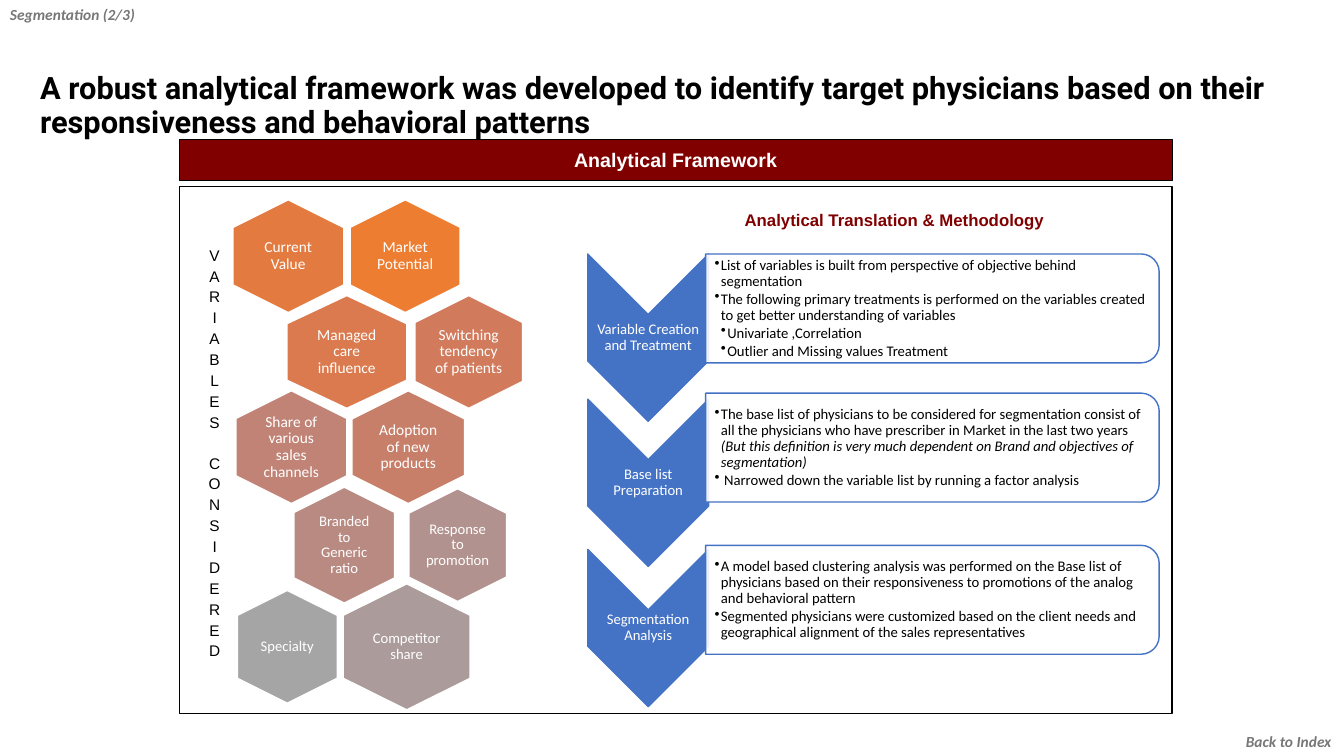
from lxml import etree
from pptx import Presentation
from pptx.dml.color import RGBColor
from pptx.enum.shapes import MSO_SHAPE
from pptx.enum.text import MSO_ANCHOR, PP_ALIGN
from pptx.oxml.ns import qn
from pptx.util import Pt

RECT, HEXAGON = MSO_SHAPE.RECTANGLE, MSO_SHAPE.HEXAGON
CHEVRON, CARD = MSO_SHAPE.CHEVRON, MSO_SHAPE.ROUND_2_SAME_RECTANGLE
LEFT, CENTER = PP_ALIGN.LEFT, PP_ALIGN.CENTER
TOP, MIDDLE = MSO_ANCHOR.TOP, MSO_ANCHOR.MIDDLE

BLACK = RGBColor(0x00, 0x00, 0x00)
WHITE = RGBColor(0xFF, 0xFF, 0xFF)
MAROON = RGBColor(0x80, 0x00, 0x00)
BLUE = RGBColor(0x44, 0x72, 0xC4)
GRAY = RGBColor(0x77, 0x77, 0x77)

TITLE = {"name": "Roboto", "size": Pt(22), "bold": True, "color": BLACK}
BANNER = {"name": "Arial", "size": Pt(14), "bold": True, "color": WHITE}
HEADING = {"name": "Arial", "size": Pt(12), "bold": True, "color": MAROON}
LETTER = {"name": "Arial", "size": Pt(11), "color": BLACK}
LABEL = {"name": "Calibri", "size": Pt(11), "color": WHITE}
SMALL_LABEL = {**LABEL, "size": Pt(10.5)}
BODY = {**SMALL_LABEL, "color": BLACK}
TAG = {"name": "Calibri", "size": Pt(11), "bold": True, "italic": True, "color": GRAY}

# Row centre y, then per hexagon: text, centre x, height, width, colour
HEX_ROWS = [
    (50, LABEL, [("Market Potential", 161.4, 80.6, 78.5, "ED7D31"),
                 ("Current Value", 77.9, 80.6, 79.2, "E37A40")]),
    (118.4, LABEL, [("Managed care influence", 119.7, 80.6, 85.7, "DA7A4E"),
                    ("Switching tendency of patients", 206.8, 80.6, 77, "D17B5C")]),
    (186.4, LABEL, [("Adoption of new products", 163.6, 80.6, 80.6, "C87F69"),
                    ("Share of various sales channels", 80.1, 80.6, 79.2, "C08376")]),
    (256.4, SMALL_LABEL, [("Branded to Generic ratio", 117.9, 82.8, 72, "B98A82"),
                          ("Response to promotion", 198.9, 80.6, 69.8, "B2928E")]),
    (329, SMALL_LABEL, [("Competitor share", 162.5, 90, 90.7, "AB9B9A"),
                        ("Specialty", 77.2, 80.6, 71.3, "A5A5A5")]),
]

# Step name, chevron height, card centre y, bullets as (level, plain, italic)
STEPS = [
    ("Variable Creation and Treatment", 119.5, 87.3, [
        (1, "List of variables is built from perspective of objective behind segmentation", ""),
        (1, "The following primary treatments is performed on the variables created "
            "to get better understanding of variables", ""),
        (2, "Univariate ,Correlation", ""),
        (2, "Outlier and Missing values Treatment", "")]),
    ("Base list Preparation", 119.5, 186.7, [
        (1, "The base list of physicians to be considered for segmentation consist of all "
            "the physicians who have prescriber in Market in the last two years ",
            "(But this definition is very much dependent on Brand and objectives of segmentation)"),
        (1, " Narrowed down the variable list by running a factor analysis", "")]),
    ("Segmentation Analysis", 112.3, 295.4, [
        (1, "A model based clustering analysis was performed on the Base list of physicians "
            "based on their responsiveness to promotions of the analog and behavioral pattern", ""),
        (1, "Segmented physicians were customized based on the client needs and "
            "geographical alignment of the sales representatives", "")]),
]


def set_font(font, fmt):
    for key, value in fmt.items():
        if key == "color":
            font.color.rgb = value
        else:
            setattr(font, key, value)


def set_frame(tf, insets, anchor=MIDDLE, wrap=True):
    sides = ("margin_left", "margin_top", "margin_right", "margin_bottom")
    for side, inset in zip(sides, insets):
        setattr(tf, side, Pt(inset))
    tf.vertical_anchor = anchor
    tf.word_wrap = wrap


def add_text(p, text, fmt, align=CENTER, line_spacing=1.0):
    p.alignment = align
    p.line_spacing = line_spacing
    r = p.add_run()
    r.text = text
    set_font(r.font, fmt)


def text_box(s, x, y, w, h, insets=(7.2, 3.6, 7.2, 3.6), anchor=MIDDLE, wrap=True):
    tf = s.shapes.add_textbox(Pt(x), Pt(y), Pt(w), Pt(h)).text_frame
    set_frame(tf, insets, anchor, wrap)
    return tf


def add_box(s, kind, x, y, w, h, fill, line=None, weight=1):
    sp = s.shapes.add_shape(kind, Pt(x), Pt(y), Pt(w), Pt(h))
    sp.shadow.inherit = False
    sp.fill.solid()
    sp.fill.fore_color.rgb = fill
    if line is None:
        sp.line.fill.background()
    else:
        sp.line.color.rgb = line
        sp.line.width = Pt(weight)
    return sp


def add_turned(s, kind, cx, cy, w, h, fill, line):
    """Shape turned a quarter, showing w by h around its centre."""
    sp = add_box(s, kind, cx - h / 2, cy - w / 2, h, w, fill, line)
    sp.rotation = 90
    return sp


def centred_label(s, cx, cy, w, h, text, fmt, inset):
    tf = text_box(s, cx - w / 2, cy - h / 2, w, h, (inset,) * 4)
    add_text(tf.paragraphs[0], text, fmt, line_spacing=0.9)


def add_hexagons(s, left, top):
    for cy, fmt, row in HEX_ROWS:
        for i, (text, cx, h, w, color) in enumerate(row):
            x, y = left + cx, top + cy
            sp = add_turned(s, HEXAGON, x, y, w, h, RGBColor.from_string(color), WHITE)
            sp.adjustments[0] = 0.25
            centred_label(s, x, y, w * 0.67, 54, text, fmt, 0 if i else 3.6)


def add_bullets(tf, bullets):
    for i, (level, plain, italic) in enumerate(bullets):
        p = tf.add_paragraph() if i else tf.paragraphs[0]
        pPr = p._p.get_or_add_pPr()
        pPr.set("marL", str(Pt(4.5 * level)))
        pPr.set("indent", str(-Pt(4.5)))
        etree.SubElement(pPr, qn("a:buChar"), char="•")
        p.space_after = Pt(1.5)
        add_text(p, plain, BODY, LEFT, 0.9)
        if italic:
            add_text(p, italic, {**BODY, "italic": True}, LEFT, 0.9)


def add_steps(s, left, top):
    for i, (name, h, card_y, bullets) in enumerate(STEPS):
        # Chevron with its step name
        cx, cy = left + 335, top + 108.2 + 103.7 * i
        add_turned(s, CHEVRON, cx, cy, 86.4, h, BLUE, BLUE)
        centred_label(s, cx, cy, 86.4, 33, name, SMALL_LABEL, 0.7)
        # Card with its bullets
        x, y = left + 376, top + card_y
        card = add_turned(s, CARD, x + 162, y, 324, 77.8, WHITE, BLUE)
        clr = card.fill._xPr.find(qn("a:solidFill"))[0]
        etree.SubElement(clr, qn("a:alpha"), val="90000")
        add_bullets(text_box(s, x, y - 35, 319.7, 70, (6.5, 0.7, 0.7, 0.7)), bullets)


def add_side_letters(s, x, y):
    tf = text_box(s, x, y, 31.7, 314, anchor=TOP)
    p = tf.paragraphs[0]
    for w, word in enumerate(("VARIABLES", "CONSIDERED")):
        for i, letter in enumerate(word):
            if w or i:
                p = tf.add_paragraph()
                p.space_before = Pt(1.7 if i else 16)
            add_text(p, letter, LETTER)


def add_framework(s, left, top, w, h):
    add_box(s, RECT, left, top, w, h, WHITE, BLACK)
    add_hexagons(s, left, top)
    add_steps(s, left, top)
    heading = text_box(s, left + 395.4, top + 13, 231, 21.6, anchor=TOP, wrap=False)
    add_text(heading.paragraphs[0], "Analytical Translation & Methodology", HEADING)
    add_side_letters(s, left + 9.5, top + 39)
    # Banner above the panel
    banner = add_box(s, RECT, left, top - 33, w, 28.8, MAROON, BLACK, 0.75)
    set_frame(banner.text_frame, (7.2, 3.6, 7.2, 3.6), wrap=False)
    add_text(banner.text_frame.paragraphs[0], "Analytical Framework", BANNER)


def add_tag(s, x, y, w, h, text):
    sp = add_box(s, RECT, x, y, w, h, WHITE)
    set_frame(sp.text_frame, (7.2, 3.6, 7.2, 3.6), TOP)
    add_text(sp.text_frame.paragraphs[0], text, TAG, LEFT)


def main():
    prs = Presentation()
    prs.slide_width, prs.slide_height = Pt(960), Pt(540)
    s = prs.slides.add_slide(prs.slide_layouts[6])
    add_framework(s, 128, 133, 709.2, 376.8)
    title = text_box(s, 21.6, 23.8, 919.4, 104.4)
    add_text(title.paragraphs[0], "A robust analytical framework was developed to identify target "
             "physicians based on their responsiveness and behavioral patterns", TITLE, LEFT, 0.9)
    # Corner tags
    add_tag(s, 0, 0, 104.4, 20.9, "Segmentation (2/3)")
    add_tag(s, 882.8, 519.1, 77.2, 20.9, "Back to Index")
    prs.save("out.pptx")


if __name__ == "__main__":
    main()
